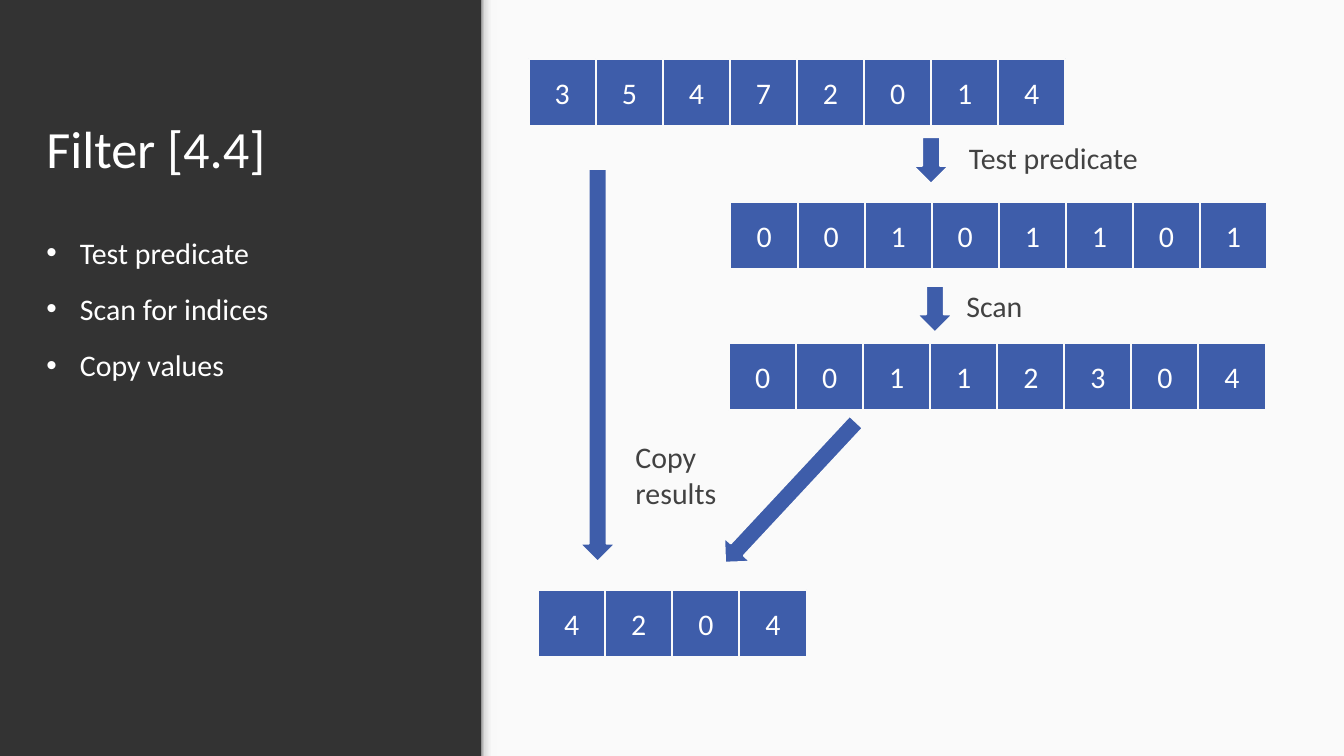
from copy import deepcopy
from dataclasses import dataclass

from pptx import Presentation
from pptx.dml.color import RGBColor
from pptx.enum.shapes import MSO_SHAPE
from pptx.enum.text import MSO_ANCHOR, MSO_AUTO_SIZE, PP_ALIGN
from pptx.oxml import parse_xml
from pptx.oxml.ns import nsdecls, qn
from pptx.util import Pt

RECT, DOWN_ARROW = MSO_SHAPE.RECTANGLE, MSO_SHAPE.DOWN_ARROW
TOP, MIDDLE, BOTTOM = MSO_ANCHOR.TOP, MSO_ANCHOR.MIDDLE, MSO_ANCHOR.BOTTOM
LEFT, CENTER = PP_ALIGN.LEFT, PP_ALIGN.CENTER
NO_FIT = MSO_AUTO_SIZE.NONE


@dataclass(frozen=True)
class Theme:
    font: str = "Calibri"
    title_size: int = 56
    text_size: int = 32
    dark: str = "333333"
    light: str = "FAFAFA"
    white: str = "FFFFFF"
    blue: str = "3E5DAA"
    label: str = "424242"
    edge: tuple = ((0, "999999"), (0.2, "DEDEDE"), (0.64, "F9F9F9"), (1, "F9F9F9"))


THEME = Theme()
SLIDE_W, SLIDE_H = 1440, 809.63
SIDEBAR_W = 516.2
CELL, PITCH = 72, 71.85
ARROW_W = 38.2


def rgb(value):
    return RGBColor.from_string(value)


def write(shape, *lines, size=THEME.text_size, color=THEME.white, align=LEFT,
          anchor=TOP, inset=None, spacing=None, after=0, bullet=False):
    """Fill a shape with one paragraph per line."""
    frame = shape.text_frame
    frame.word_wrap, frame.auto_size, frame.vertical_anchor = True, NO_FIT, anchor
    if inset is not None:
        frame.margin_left = frame.margin_right = Pt(inset)
        frame.margin_top = frame.margin_bottom = Pt(inset)
    frame.text = "\n".join(lines)
    for para in frame.paragraphs:
        para.alignment, para.line_spacing = align, spacing
        para.space_before, para.space_after = Pt(0), Pt(after)
        font = para.runs[0].font
        font.name, font.size, font.color.rgb = THEME.font, Pt(size), rgb(color)
        if bullet:
            props = para._p.get_or_add_pPr()
            props.set("marL", str(Pt(36)))
            props.set("indent", str(-Pt(36)))
            props.append(parse_xml(f'<a:buClr {nsdecls("a")}><a:srgbClr val="{color}"/></a:buClr>'))
            props.append(parse_xml(f'<a:buChar {nsdecls("a")} char="\u2022"/>'))


def place(shape, x, y, w, h):
    shape.left, shape.top, shape.width, shape.height = Pt(x), Pt(y), Pt(w), Pt(h)
    return shape


def add_block(slide, kind, x, y, w, h, fill=THEME.blue, outlined=True):
    block = slide.shapes.add_shape(kind, Pt(x), Pt(y), Pt(w), Pt(h))
    block.shadow.inherit = False
    block.fill.solid()
    block.fill.fore_color.rgb = rgb(fill)
    if outlined:
        block.line.color.rgb, block.line.width = rgb(THEME.light), Pt(2)
    else:
        block.line.fill.background()
    return block


def add_array(slide, x, y, values):
    """Row of equal cells, one for each digit."""
    for i, value in enumerate(values):
        cell = add_block(slide, RECT, x + i * PITCH, y, CELL, CELL)
        write(cell, value, align=CENTER, anchor=MIDDLE)


def add_arrow(slide, x, y, length, angle=0):
    add_block(slide, DOWN_ARROW, x, y, ARROW_W, length).rotation = angle


def add_label(slide, x, y, h, *lines):
    label = slide.shapes.add_textbox(Pt(x), Pt(y), Pt(216), Pt(h))
    write(label, *lines, color=THEME.label)


def background(slide, x, y, w, h):
    """Dark slide with a light panel and a soft shadow on its left edge."""
    slide.background.fill.solid()
    slide.background.fill.fore_color.rgb = rgb(THEME.dark)
    add_block(slide, RECT, x, y, w, h, THEME.light, outlined=False)
    edge = add_block(slide, RECT, x - 0.5, y, 17.3, h, outlined=False)
    edge.fill.gradient()
    edge.fill.gradient_angle = 0
    stop_list = next(edge._element.iter(qn("a:gsLst")))
    for _ in range(len(THEME.edge) - len(stop_list)):
        stop_list.append(deepcopy(stop_list[0]))
    for stop, (position, color) in zip(edge.fill.gradient_stops, THEME.edge):
        stop.position, stop.color.rgb = position, rgb(color)


def sidebar(slide, x, y, w):
    """Title above the list of steps."""
    title, steps = slide.placeholders
    write(place(title, x, y, w, 150), "Filter [4.4]",
          size=THEME.title_size, anchor=BOTTOM, inset=14.4)
    write(place(steps, x, y + 174.6, w, 498), "Test predicate", "Scan for indices",
          "Copy values", inset=14.4, spacing=1.15, after=16, bullet=True)


def diagram(slide, x, y):
    """Arrays from input to result, joined by labelled arrows."""
    # Input, predicate flags, scanned indices, result
    for dx, dy, values in ((0, 0, "35472014"), (216.2, 153.4, "00101101"),
                           (214.6, 304.6, "00112304"), (10.1, 568.8, "4204")):
        add_array(slide, x + dx, y + dy, values)
    # Test, scan, copy values, copy by index
    for dx, dy, length, angle in ((412, 84.2, 49.7, 0), (416.2, 243.4, 49.7, 0),
                                  (54.8, 118.1, 420.5, 0), (261.5, 361.5, 205.9, 43)):
        add_arrow(slide, x + dx, y + dy, length, angle)
    # Step labels
    add_label(slide, x + 464.5, y + 83.4, 46, "Test predicate")
    add_label(slide, x + 461.8, y + 241.8, 46, "Scan")
    add_label(slide, x + 107.3, y + 403.8, 85, "Copy", "results")


deck = Presentation()
deck.slide_width, deck.slide_height = Pt(SLIDE_W), Pt(SLIDE_H)
filter_slide = deck.slides.add_slide(deck.slide_layouts[1])
background(filter_slide, SIDEBAR_W, 0, SLIDE_W - SIDEBAR_W, SLIDE_H)
sidebar(filter_slide, 35.3, 56.3, 442)
diagram(filter_slide, 566.5, 62.8)
deck.save("out.pptx")
